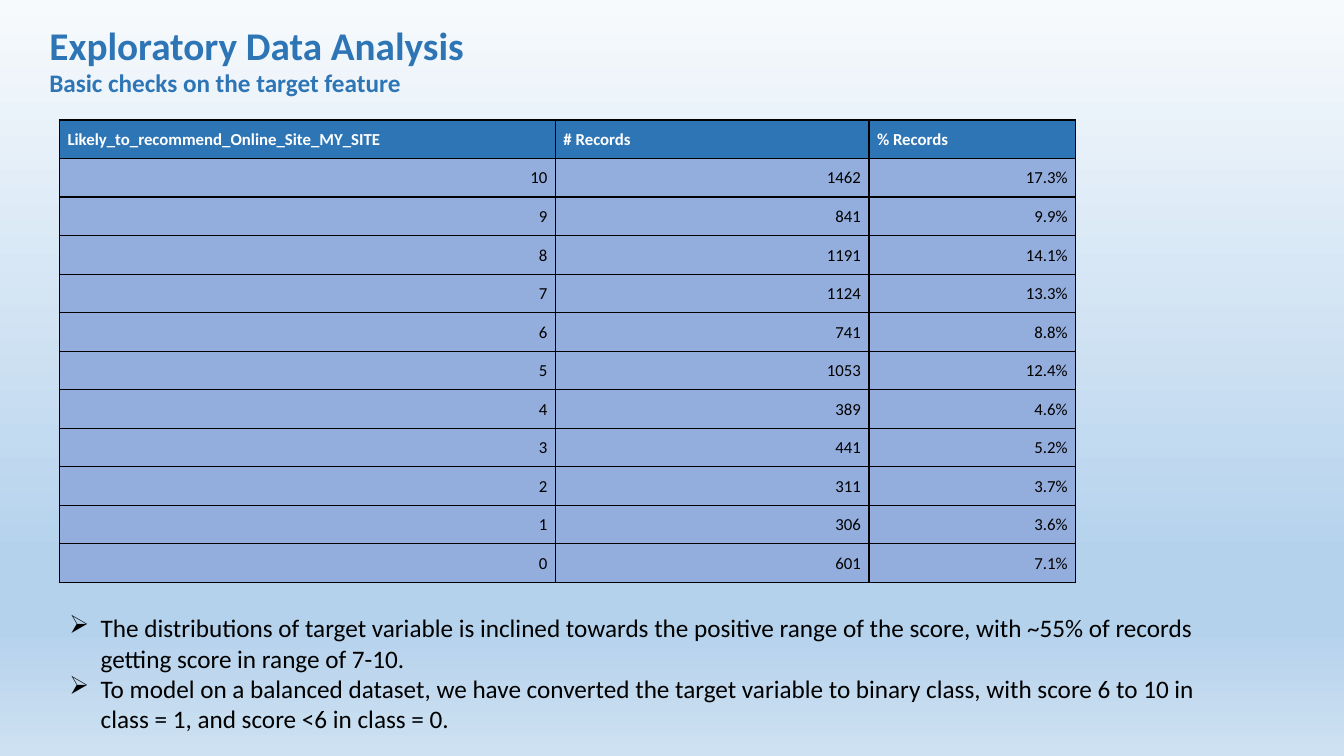
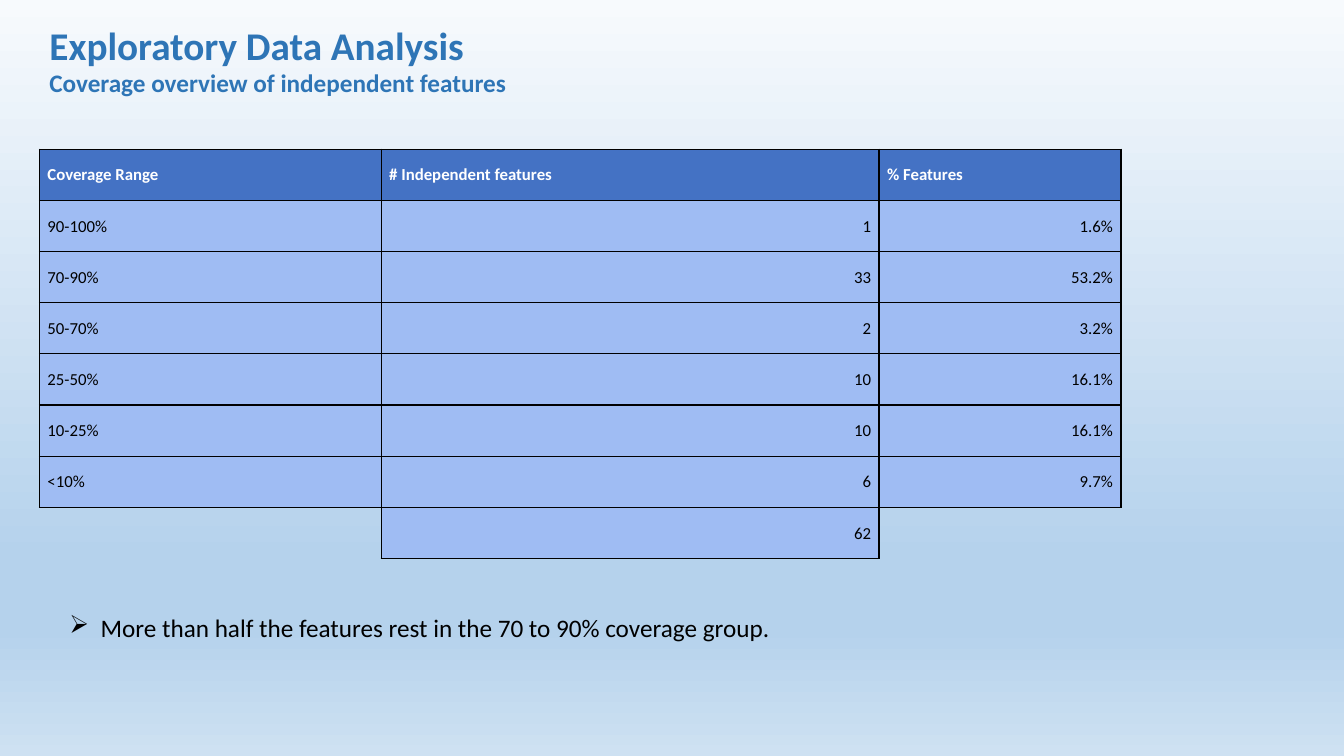
from dataclasses import dataclass

from lxml import etree
from pptx import Presentation
from pptx import util as u
from pptx.dml import color
from pptx.enum import text
from pptx.oxml import ns

FONT = "Calibri"
BLUE, BLACK, WHITE = "2E75B6", "000000", "FFFFFF"
SKY = [(0, "F7FAFD"), (74, "B5D2EC"), (83, "B5D2EC"), (100, "CEE1F2")]
SLIDE_W, SLIDE_H = u.Inches(13.333), u.Inches(7.5)
LEFT, INDENT = 2.93, 4.43  # percent of slide width
TITLE = "Exploratory Data Analysis"


@dataclass
class Grid:
    left: float  # lengths are percent of the slide
    top: float
    cols: tuple[float, ...]
    row_height: float
    header_fill: str
    body_fill: str
    text_cols: tuple[int, ...]  # body columns aligned left
    rows: list[tuple[str, ...]]


@dataclass
class Page:
    subtitle: str
    grid: Grid
    bullet_height: float
    bullets: list[str]


PAGES = [
    Page(
        "Basic checks on the target feature",
        Grid(INDENT, 15.87, (36.9, 23.33, 15.38), 5.1, BLUE, "93ADDD", (), [
            ("Likely_to_recommend_Online_Site_MY_SITE", "# Records", "% Records"),
            ("10", "1462", "17.3%"),
            ("9", "841", "9.9%"),
            ("8", "1191", "14.1%"),
            ("7", "1124", "13.3%"),
            ("6", "741", "8.8%"),
            ("5", "1053", "12.4%"),
            ("4", "389", "4.6%"),
            ("3", "441", "5.2%"),
            ("2", "311", "3.7%"),
            ("1", "306", "3.6%"),
            ("0", "601", "7.1%"),
        ]),
        17.47,
        ["The distributions of target variable is inclined towards the positive range "
         "of the score, with ~55% of records getting score in range of 7-10.",
         "To model on a balanced dataset, we have converted the target variable to "
         "binary class, with score 6 to 10 in class = 1, and score <6 in class = 0."],
    ),
    Page(
        "Coverage overview of independent features",
        Grid(LEFT, 19.73, (25.43, 37.05, 18), 6.77, "4472C4", "9FBCF3", (0,), [
            ("Coverage Range", "# Independent features", "% Features"),
            ("90-100%", "1", "1.6%"),
            ("70-90%", "33", "53.2%"),
            ("50-70%", "2", "3.2%"),
            ("25-50%", "10", "16.1%"),
            ("10-25%", "10", "16.1%"),
            ("<10%", "6", "9.7%"),
            ("", "62", ""),
        ]),
        5.33,
        ["More than half the features rest in the 70 to 90% coverage group."],
    ),
]


def rgb(value: str) -> color.RGBColor:
    return color.RGBColor.from_string(value)


def across(percent: float) -> int:
    return round(SLIDE_W * percent / 100)


def down(percent: float) -> int:
    return round(SLIDE_H * percent / 100)


def sub(parent, tag: str, **attrs: str):
    return etree.SubElement(parent, ns.qn(tag), attrs)


def add_run(p, words: str, size: float, hue: str, bold: bool = False) -> None:
    r = p.add_run()
    r.text = words
    r.font.name, r.font.size, r.font.bold = FONT, u.Pt(size), bold
    r.font.color.rgb = rgb(hue)


def paint_background(master) -> None:
    fill = master.background.fill
    fill.gradient()
    fill.gradient_angle = 270
    stops = master.element.find(".//" + ns.qn("a:gsLst"))
    for stop in list(stops):
        stops.remove(stop)
    for percent, hue in SKY:
        sub(sub(stops, "a:gs", pos=str(percent * 1000)), "a:srgbClr", val=hue)


def add_text_box(s, left: float, top: float, width: float, height: float):
    sp = s.shapes.add_textbox(across(left), down(top), across(width), down(height))
    sp.text_frame.word_wrap = True
    return sp.text_frame


def add_heading(s, subtitle: str) -> None:
    sp = s.shapes.title
    sp.left, sp.top = across(LEFT), down(2.13)
    sp.width, sp.height = across(72.83), down(7.6)
    tf = sp.text_frame
    tf.word_wrap = True
    tf.auto_size = text.MSO_AUTO_SIZE.NONE
    tf.vertical_anchor = text.MSO_ANCHOR.TOP
    p = tf.paragraphs[0]
    p.alignment = text.PP_ALIGN.LEFT
    add_run(p, TITLE, 28, BLUE, True)
    tf = add_text_box(s, LEFT, 8.27, 72.83, 5.33)
    add_run(tf.paragraphs[0], subtitle, 18, BLUE, True)


def set_borders(cell, sides: str) -> None:
    """Draw the named sides (any of L, R, T, B) and clear the others."""
    props = cell._tc.get_or_add_tcPr()
    for i, side in enumerate("LRTB"):
        line = etree.Element(ns.qn("a:ln" + side), w=str(u.Pt(1)))
        if side in sides:
            sub(sub(line, "a:solidFill"), "a:srgbClr", val=BLACK)
        else:
            sub(line, "a:noFill")
        props.insert(i, line)


def add_grid(s, grid: Grid) -> None:
    rows, cols = len(grid.rows), len(grid.cols)
    table = s.shapes.add_table(
        rows, cols, across(grid.left), down(grid.top),
        across(sum(grid.cols)), down(grid.row_height * rows)).table
    table.first_row = table.horz_banding = False
    for column, width in zip(table.columns, grid.cols):
        column.width = across(width)
    for i, values in enumerate(grid.rows):
        table.rows[i].height = down(grid.row_height)
        for j, value in enumerate(values):
            cell = table.cell(i, j)
            cell.margin_left = cell.margin_right = u.Inches(0.08)
            cell.margin_top, cell.margin_bottom = u.Inches(0.01), 0
            cell.vertical_anchor = text.MSO_ANCHOR.MIDDLE
            if not value:  # blank cells only share edges with filled ones
                cell.fill.background()
                set_borders(cell, "TR" if j == 0 else "TL")
                continue
            header = i == 0
            cell.fill.solid()
            cell.fill.fore_color.rgb = rgb(grid.header_fill if header else grid.body_fill)
            set_borders(cell, "LRTB")
            p = cell.text_frame.paragraphs[0]
            if not header and j not in grid.text_cols:
                p.alignment = text.PP_ALIGN.RIGHT
            add_run(p, value, 12, WHITE if header else BLACK, header)


def add_bullets(s, height: float, bullets: list[str]) -> None:
    tf = add_text_box(s, INDENT, 80.4, 85.73, height)
    for i, bullet in enumerate(bullets):
        p = tf.add_paragraph() if i else tf.paragraphs[0]
        props = p._p.get_or_add_pPr()
        props.set("marL", str(u.Inches(0.31)))
        props.set("indent", str(-u.Inches(0.31)))
        sub(props, "a:buChar", char="➢")
        add_run(p, bullet, 18, BLACK)


def main() -> None:
    prs = Presentation()
    prs.slide_width, prs.slide_height = SLIDE_W, SLIDE_H
    paint_background(prs.slide_master)
    title_only = prs.slide_layouts.get_by_name("Title Only")
    for page in PAGES:
        s = prs.slides.add_slide(title_only)
        add_heading(s, page.subtitle)
        add_grid(s, page.grid)
        add_bullets(s, page.bullet_height, page.bullets)
    prs.save("out.pptx")


if __name__ == "__main__":
    main()
